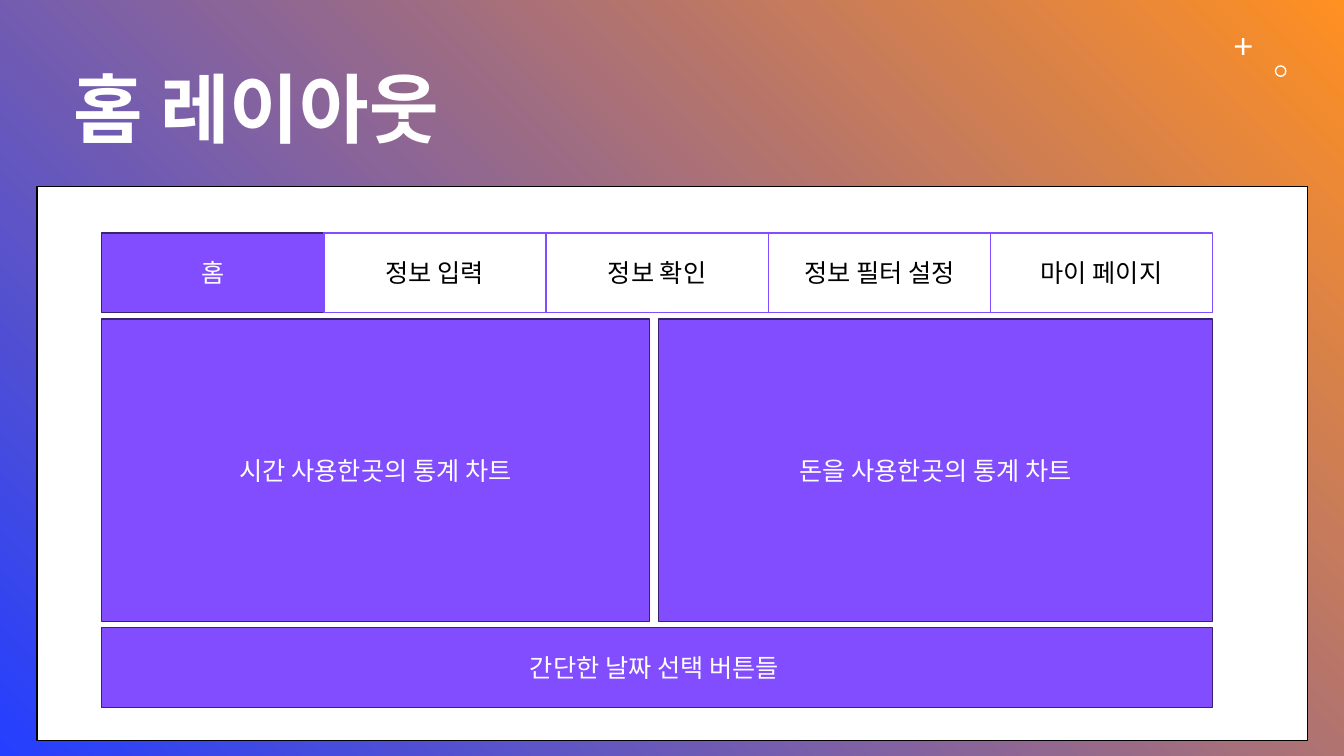
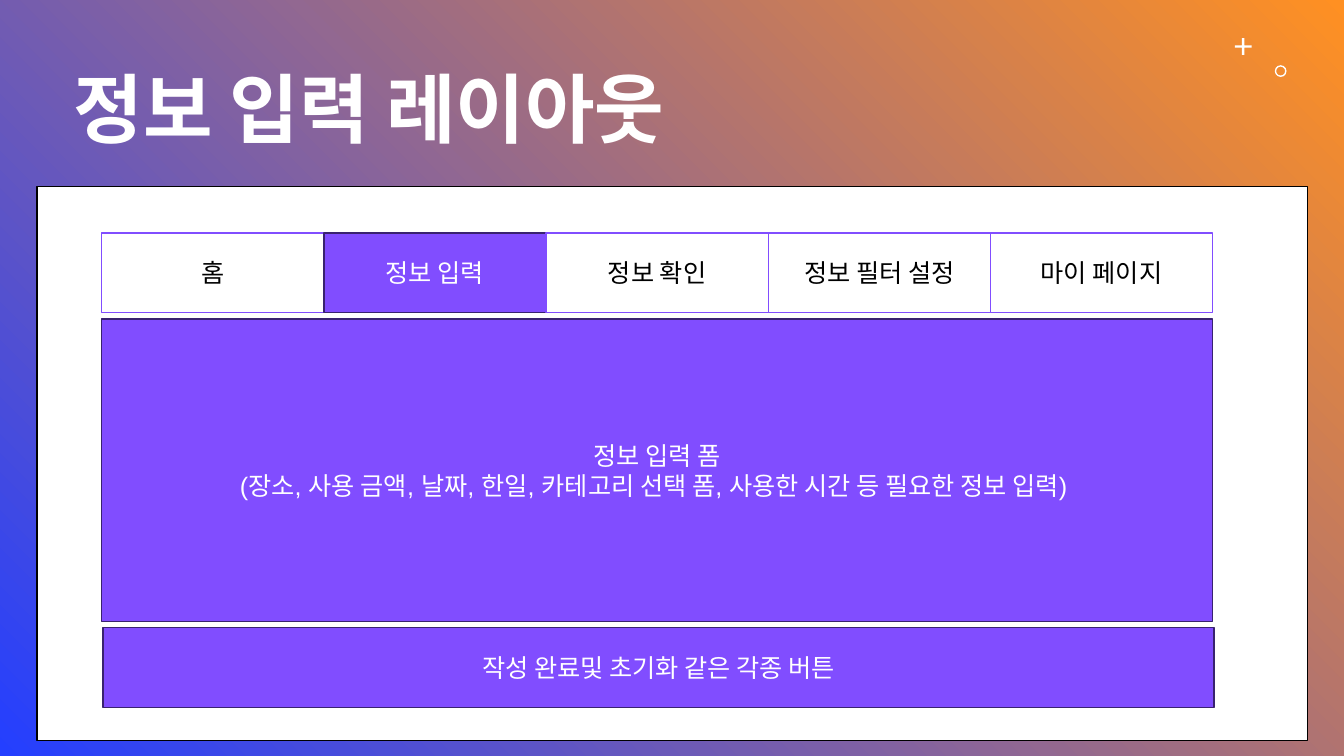
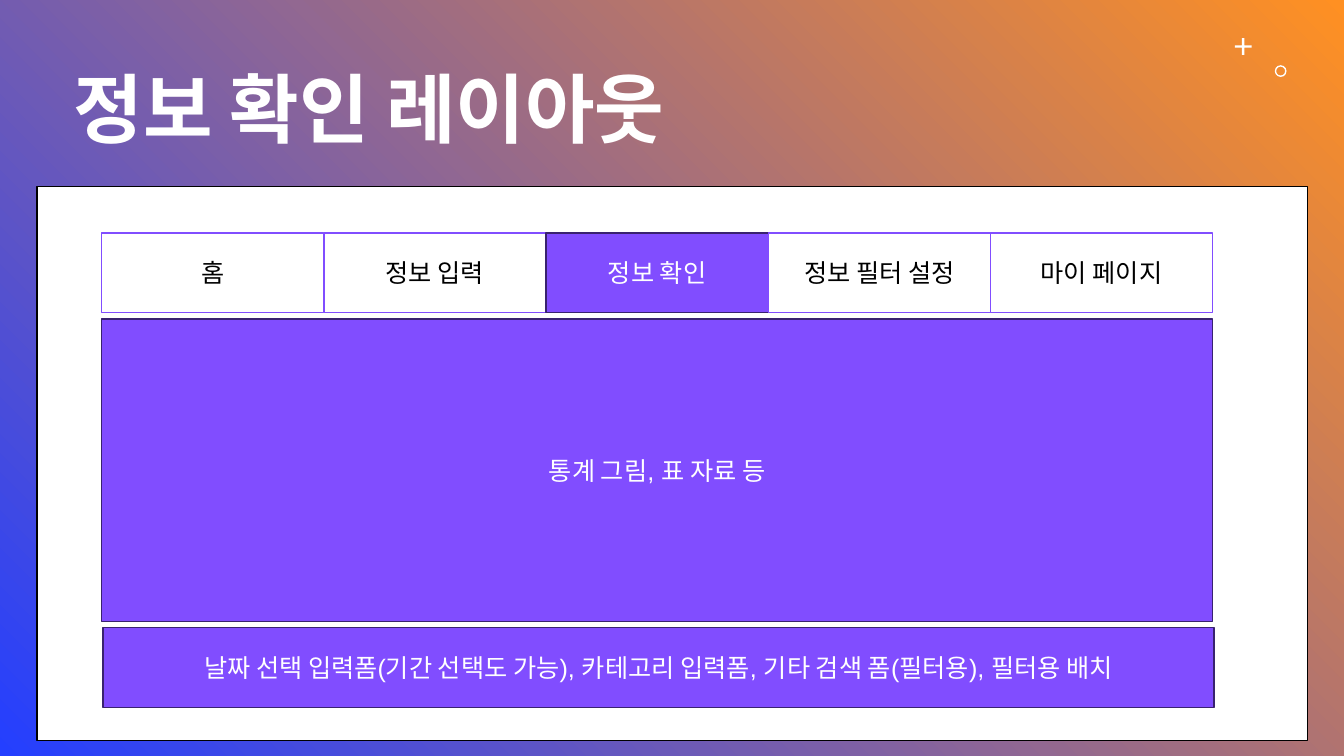
"""Builds three wireframe slides of a time and money tracking app."""
from dataclasses import dataclass

from lxml import etree
from pptx import Presentation
from pptx import util as u
from pptx.dml.color import RGBColor
from pptx.enum import shapes, text as t
from pptx.oxml.ns import qn


@dataclass(frozen=True)
class Theme:
    blue: str = "243FFF"
    orange: str = "FF9022"
    purple: str = "814DFF"
    dark_purple: str = "392270"
    white: str = "FFFFFF"
    black: str = "000000"
    title_font: str = "Noto Sans CJK KR"
    body_font: str = "Arial"
    title_size: float = 54
    body_size: float = 18


THEME = Theme()
TABS = ["홈", "정보 입력", "정보 확인", "정보 필터 설정", "마이 페이지"]
LEFT, WIDTH = 72.6, 793.6
TAB_TOP, BAR_HEIGHT, BODY_HEIGHT, GAP = 166.3, 57, 216, 4.5
BODY_TOP = TAB_TOP + BAR_HEIGHT + GAP
ACTION_TOP = BODY_TOP + BODY_HEIGHT + GAP


def write(frame, text, font=THEME.body_font, size=THEME.body_size,
          color=THEME.white, bold=False, align=t.PP_ALIGN.CENTER, spacing=1.0):
    frame.word_wrap = True
    frame.auto_size = t.MSO_AUTO_SIZE.NONE
    frame.vertical_anchor = t.MSO_ANCHOR.MIDDLE
    para = frame.paragraphs[0]
    para.text = text
    para.alignment = align
    para.line_spacing = spacing
    for span in para.runs:
        span.font.name = font
        span.font.size = u.Pt(size)
        span.font.bold = bold
        span.font.color.rgb = RGBColor.from_string(color)
        latin = span.font._element.find(qn("a:latin"))
        east_asian = etree.Element(qn("a:ea"), typeface=THEME.title_font)
        latin.addnext(east_asian)


class Wireframe:
    def __init__(self, theme):
        self.theme = theme
        self.deck = Presentation()
        self.deck.slide_width, self.deck.slide_height = u.Pt(960), u.Pt(540)
        self.layout = self.deck.slide_layouts[5]
        self.page = None
        self.style_layout()

    def style_layout(self):
        fill = self.layout.background.fill
        fill.gradient()
        fill.gradient_angle = 45
        for stop, color, position in zip(
                fill.gradient_stops, (self.theme.blue, self.theme.orange), (0, 1)):
            stop.color.rgb = RGBColor.from_string(color)
            stop.position = position
        title = self.layout.placeholders[0]
        title.left, title.top = u.Pt(45.4), u.Pt(28.8)
        title.width, title.height = u.Pt(848), u.Pt(104.4)

    def shape(self, kind, left, top, width, height, fill, line=None):
        box = self.page.shapes.add_shape(
            kind, u.Pt(left), u.Pt(top), u.Pt(width), u.Pt(height))
        box.shadow.inherit = False
        box.fill.solid()
        box.fill.fore_color.rgb = RGBColor.from_string(fill)
        if line:
            box.line.color.rgb = RGBColor.from_string(line)
            box.line.width = u.Pt(1)
        else:
            box.line.fill.background()
        return box

    def rectangle(self, *place, fill, line):
        return self.shape(shapes.MSO_SHAPE.RECTANGLE, *place, fill, line)

    def start(self, title):
        self.page = self.deck.slides.add_slide(self.layout)
        write(self.page.shapes.title.text_frame, title,
              font=self.theme.title_font, size=self.theme.title_size, bold=True,
              align=t.PP_ALIGN.LEFT, spacing=0.9)
        self.ornaments()
        self.rectangle(26.6, 133.2, 907.2, 396,
                       fill=self.theme.white, line=self.theme.black)

    def ornaments(self):
        plus = self.shape(shapes.MSO_SHAPE.CROSS, 882, 27.2, 12, 12, self.theme.white)
        plus.adjustments[0] = 0.43
        ring = self.shape(shapes.MSO_SHAPE.DONUT, 910.6, 46.6, 8.4, 8.4, self.theme.white)
        ring.adjustments[0] = 0.12

    def tabs(self, active):
        width = WIDTH / len(TABS)
        for index, label in enumerate(TABS):
            place = LEFT + index * width, TAB_TOP, width, BAR_HEIGHT
            if label == active:
                self.block(label, *place)
            else:
                tab = self.rectangle(*place, fill=self.theme.white, line=self.theme.purple)
                write(tab.text_frame, label, color=self.theme.black)

    def block(self, label, *place):
        box = self.rectangle(*place, fill=self.theme.purple, line=self.theme.dark_purple)
        write(box.text_frame, label)

    def body(self, label, left=LEFT, width=WIDTH):
        self.block(label, left, BODY_TOP, width, BODY_HEIGHT)

    def actions(self, label, left=LEFT):
        self.block(label, left, ACTION_TOP, WIDTH, BAR_HEIGHT)


def main():
    wireframe = Wireframe(THEME)

    wireframe.start("홈 레이아웃")
    wireframe.tabs("홈")
    wireframe.body("시간 사용한곳의 통계 차트", width=391.2)
    wireframe.body("돈을 사용한곳의 통계 차트", left=470.2, width=396)
    wireframe.actions("간단한 날짜 선택 버튼들 ")

    wireframe.start("정보 입력 레이아웃")
    wireframe.tabs("정보 입력")
    wireframe.body("정보 입력 폼\n(장소, 사용 금액, 날짜, 한일, 카테고리 선택 폼, "
                   "사용한 시간 등 필요한 정보 입력) ")
    wireframe.actions("작성 완료및 초기화 같은 각종 버튼", left=73.6)

    wireframe.start("정보 확인 레이아웃")
    wireframe.tabs("정보 확인")
    wireframe.body("통계 그림, 표 자료 등")
    wireframe.actions("날짜 선택 입력폼(기간 선택도 가능), 카테고리 입력폼, "
                      "기타 검색 폼(필터용), 필터용 배치", left=73.6)

    wireframe.deck.save("out.pptx")


if __name__ == "__main__":
    main()
